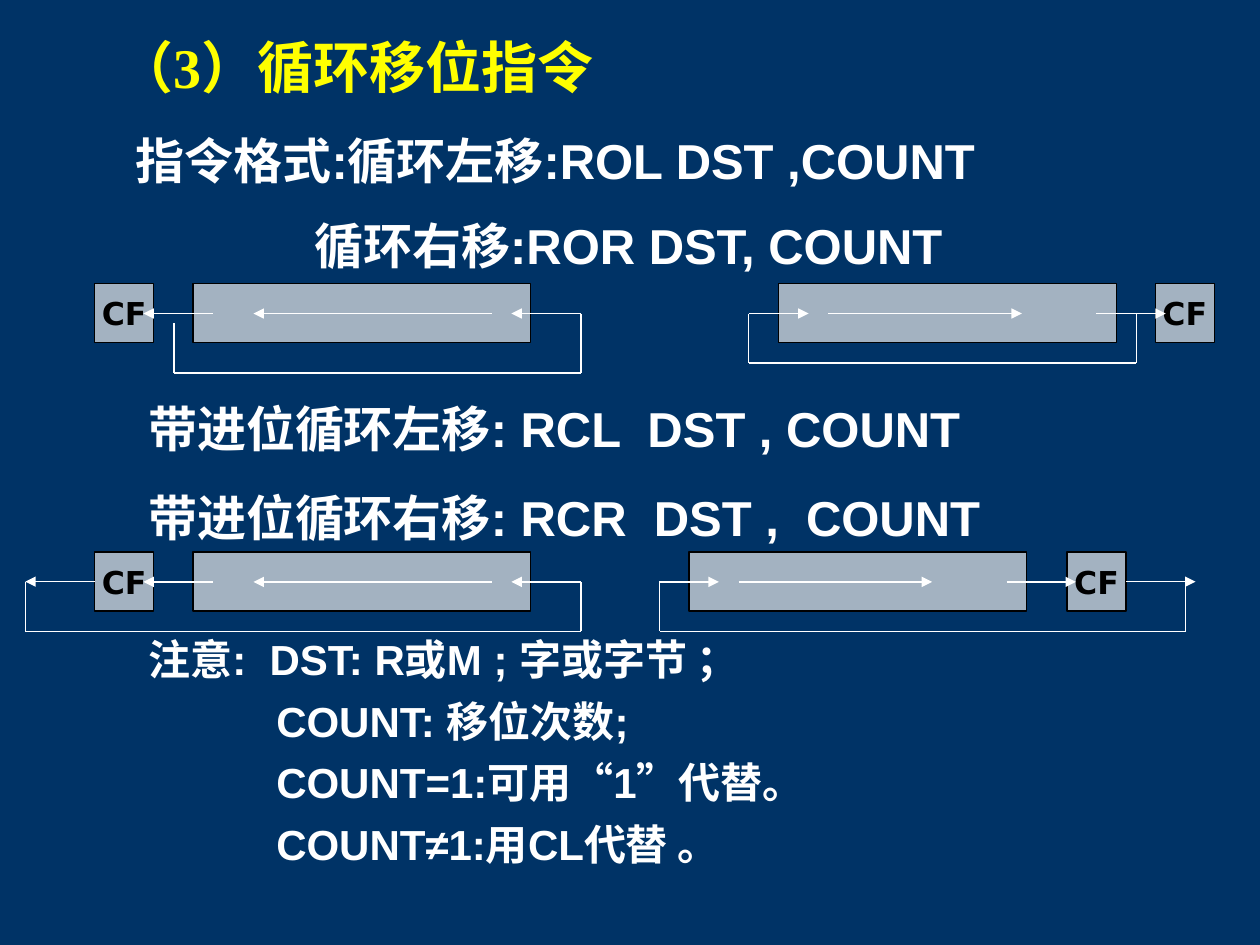
from lxml.etree import SubElement
from pptx import Presentation
from pptx.dml.color import RGBColor
from pptx.enum.shapes import MSO_CONNECTOR as Connector, MSO_SHAPE as Shape
from pptx.enum.text import MSO_ANCHOR as Anchor, PP_ALIGN as Align
from pptx.oxml.ns import qn
from pptx.util import Cm, Pt

COLORS = {"navy": "003366", "white": "FFFFFF", "yellow": "FFFF00",
          "steel": "A3B2C1", "black": "000000"}
BOX_SIDE, REGISTER_WIDTH, MIDDLE = 1.19, 6.81, 0.6


def add_run(paragraph, words, size, face, color):
    run = paragraph.add_run()
    run.text = words
    run.font.size = Pt(size)
    run.font.name = face
    run.font.bold = True
    run.font.color.rgb = RGBColor.from_string(COLORS[color])


def add_wire(group, x1, y1, x2, y2, arrow=False):
    wire = group.shapes.add_connector(Connector.STRAIGHT, Cm(x1), Cm(y1), Cm(x2), Cm(y2))
    wire.line.color.rgb = RGBColor.from_string(COLORS["white"])
    wire.line.width = Pt(0.75)
    if arrow:
        SubElement(wire.line._get_or_add_ln(), qn("a:tailEnd"), type="triangle")
    SubElement(wire._element.spPr, qn("a:effectLst"))
    return wire


deck = Presentation()
deck.slide_width, deck.slide_height = Cm(25.4), Cm(19.05)
slide = deck.slides.add_slide(deck.slide_layouts[6])
slide.background.fill.solid()
slide.background.fill.fore_color.rgb = RGBColor.from_string(COLORS["navy"])

passages = [
    ((2.74, 7.9, 20.32, 3.25), 28, "Arial", "white", 17.5, None,
     [(0, "带进位循环左移: RCL  DST , COUNT"),
      (0, "带进位循环右移: RCR  DST ,  COUNT")]),
    ((2.74, 12.93, 19.48, 4.7), 24, "Arial", "white", 15, 0.7,
     [(0, "注意:  DST: R或M ; 字或字节 ；"),
      (2.58, "COUNT: 移位次数;"),
      (2.58, "COUNT=1:可用“1”代替。"),
      (2.58, "COUNT≠1:用CL代替 。")]),
    ((2.11, 0.53, 14.4, 1.63), 32, "Times New Roman", "yellow", 0, None,
     [(0, "（3）循环移位指令")]),
    ((2.49, 2.51, 19.89, 3.15), 28, "Arial", "white", 15, None,
     [(0, "指令格式:循环左移:ROL DST ,COUNT"),
      (3.6, "循环右移:ROR DST, COUNT")]),
]
for place, size, face, color, gap, spacing, lines in passages:
    frame = slide.shapes.add_textbox(*map(Cm, place)).text_frame
    frame.word_wrap = True
    for number, (indent, words) in enumerate(lines):
        paragraph = frame.add_paragraph() if number else frame.paragraphs[0]
        if number:
            paragraph.space_before = Pt(gap)
        if spacing:
            paragraph.line_spacing = spacing
        if indent:
            properties = paragraph._p.get_or_add_pPr()
            properties.set("marL", str(Cm(indent)))
            properties.set("indent", "0")
        add_run(paragraph, words, size, face, color)

shift_left = [(0.4, -1), (6.02, 1.22), (7.82, 6.42)]
shift_right = [(-0.6, 0.6), (1, 4.9), (6.4, 7.8)]
rotations = [
    (5.72, 15.7, 23.29, shift_right, (15.09, 22.91), 0, 1.6, None),
    (5.72, 3.89, 1.91, shift_left, (3.51, 11.71), 0.2, 1.8, None),
    (11.13, 3.89, 1.91, shift_left, (0.51, 11.71), 0, 1.6, 1),
    (11.13, 13.89, 21.51, shift_right, (13.3, 23.9), 0, 1.6, 3),
]
for top, register_left, carry_left, shifts, loop, drop, depth, carry_side in rotations:
    rotation = slide.shapes.add_group_shape()
    for left, width in [(register_left, REGISTER_WIDTH), (carry_left, BOX_SIDE)]:
        cell = rotation.shapes.add_shape(Shape.RECTANGLE, Cm(left), Cm(top), Cm(width), Cm(BOX_SIDE))
        cell.shadow.inherit = False
        cell.fill.solid()
        cell.fill.fore_color.rgb = RGBColor.from_string(COLORS["steel"])
        cell.line.color.rgb = RGBColor.from_string(COLORS["black"])
        cell.line.width = Pt(0.75)
    carry = cell
    carry.text_frame.word_wrap = False
    carry.text_frame.vertical_anchor = Anchor.MIDDLE
    label = carry.text_frame.paragraphs[0]
    label.alignment = Align.CENTER
    add_run(label, "CF", 18, "DejaVu Sans", "black")

    middle, bottom = top + MIDDLE, top + depth
    for start, end in shifts:
        add_wire(rotation, register_left + start, middle, register_left + end, middle, arrow=True)
    loop_left, loop_right = loop
    add_wire(rotation, loop_left, middle + drop, loop_left, bottom)
    add_wire(rotation, loop_left, bottom, loop_right, bottom)
    add_wire(rotation, loop_right, bottom, loop_right, middle)
    if carry_side:
        carry_edge, carry_end = ((carry_left, carry_left - 1.4) if carry_side == 1
                                 else (carry_left + BOX_SIDE, carry_left + BOX_SIDE + 1.4))
        carry_out = add_wire(rotation, carry_edge, middle, carry_end, middle, arrow=True)
        carry_out.begin_connect(carry, carry_side)
        carry_out.end_y = carry_out.begin_y

deck.save("out.pptx")
